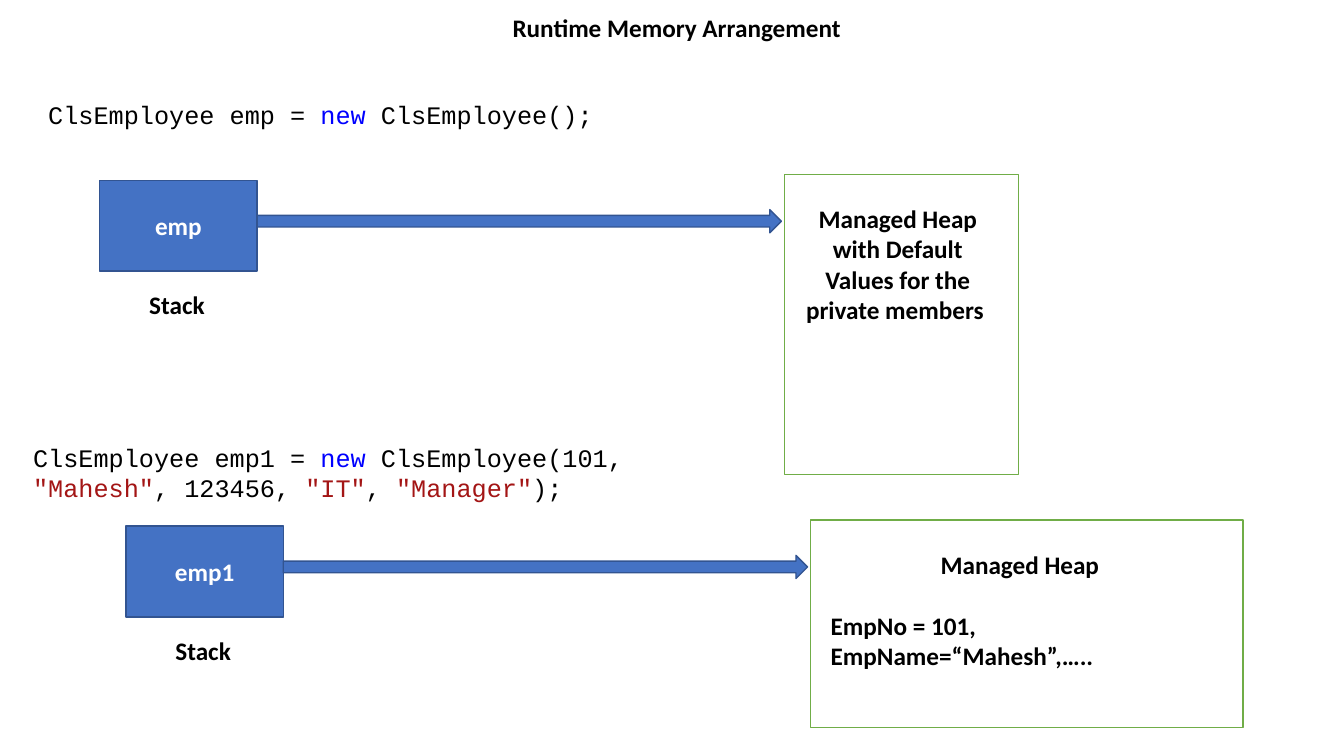
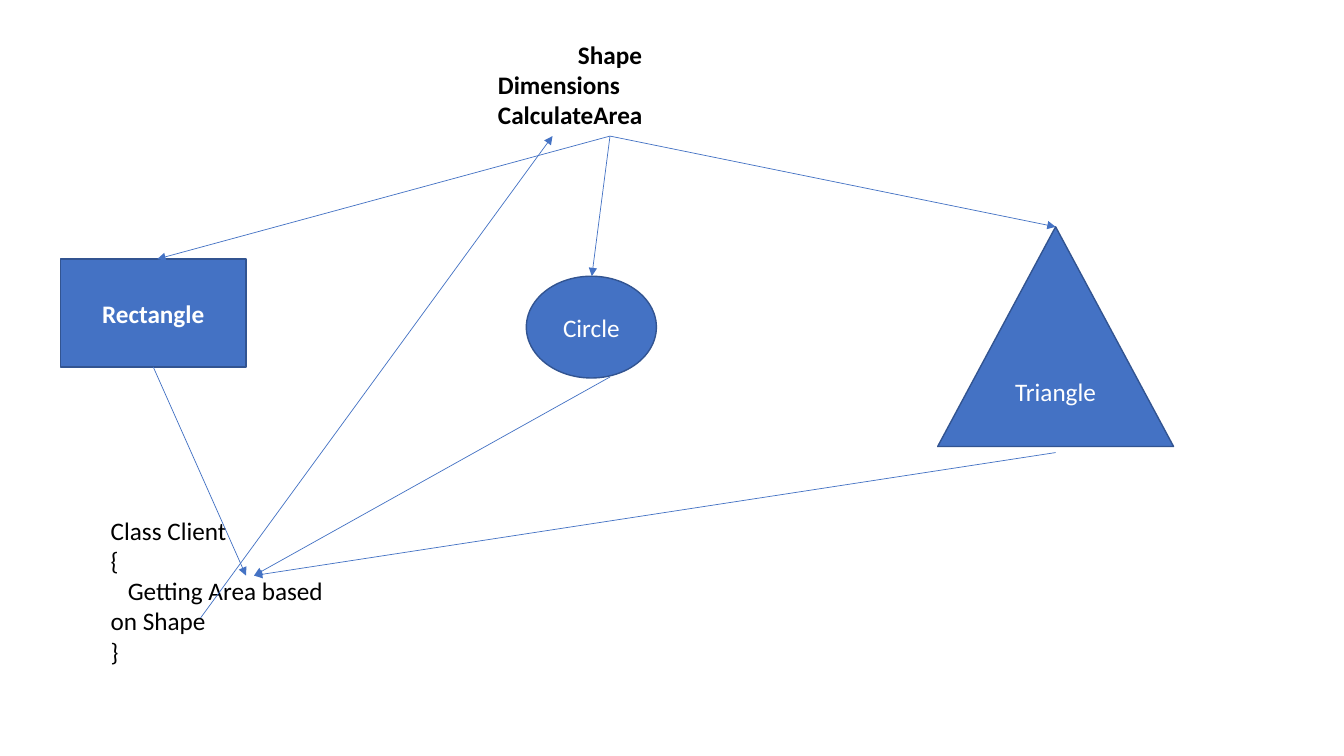
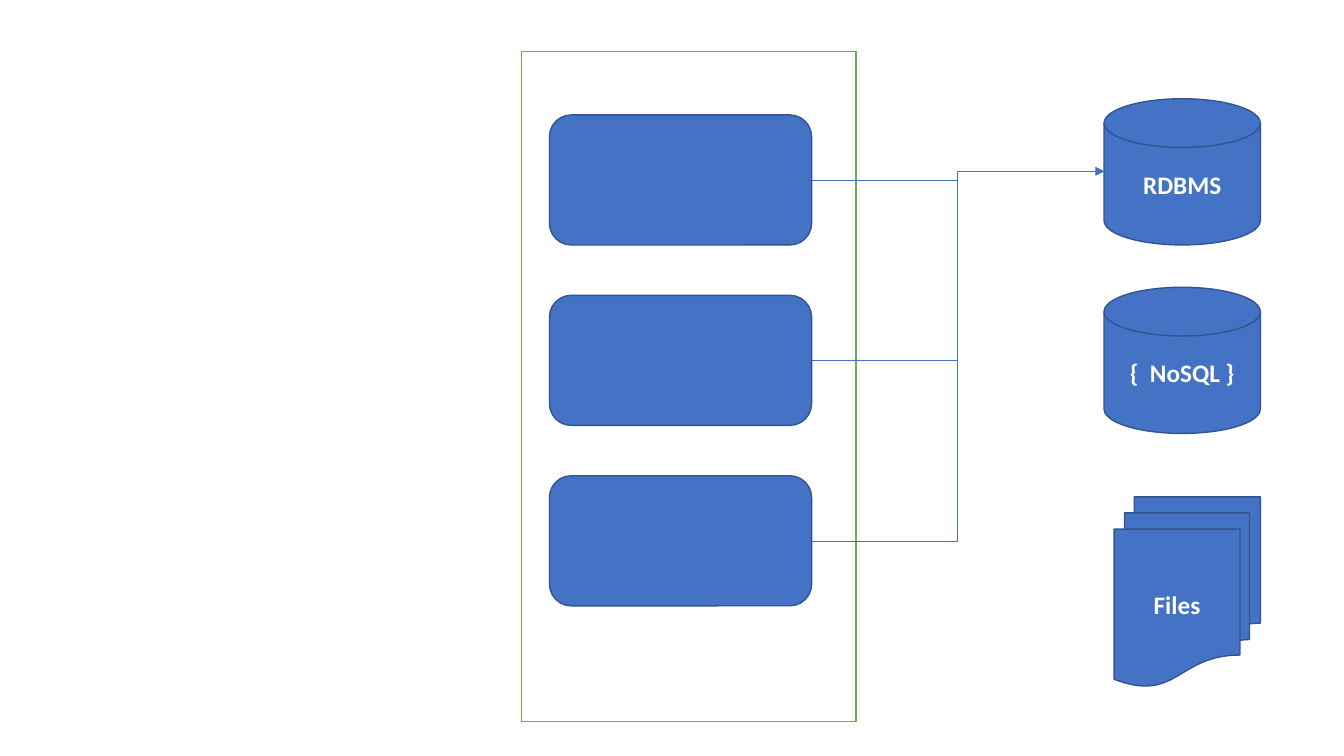
"""Build three slides on object memory, shape classes and data stores."""
from lxml.etree import SubElement
from pptx import Presentation
from pptx.dml.color import RGBColor
from pptx.enum.shapes import MSO_CONNECTOR as LINK, MSO_SHAPE as FORM
from pptx.enum.text import MSO_ANCHOR, PP_ALIGN
from pptx.oxml.ns import qn
from pptx.util import Inches, Pt

BLUE, EDGE, GREEN = "4472C4", "325491", "70AD47"
WHITE, BLACK, KEY, QUOTE = "FFFFFF", "000000", "0000FF", "A31515"
MID = PP_ALIGN.CENTER
CODE = "Courier New"


def tint(value):
    return RGBColor.from_string(value)


def write(frame, text, color=BLACK, bold=False, align=PP_ALIGN.LEFT,
          font="Calibri", before=0, indent=0):
    para = frame.add_paragraph() if frame.text else frame.paragraphs[0]
    para.alignment = align
    para.space_before = Pt(before)
    if indent:
        para._p.get_or_add_pPr().set("indent", str(Inches(indent)))
    parts = [(text, color)] if isinstance(text, str) else text
    for words, shade in parts:
        run = para.add_run()
        run.text = words
        run.font.name, run.font.size, run.font.bold = font, Pt(18), bold
        run.font.color.rgb = tint(shade)


class Deck:
    def __init__(self):
        self.file = Presentation()
        self.file.slide_width = Inches(13.33)
        self.file.slide_height = Inches(7.5)

    def page(self):
        self.slide = self.file.slides.add_slide(self.file.slide_layouts[6])

    def note(self, x, y, w, h, text=None, **style):
        box = self.slide.shapes.add_textbox(*map(Inches, (x, y, w, h)))
        frame = box.text_frame
        frame.word_wrap = True
        if text:
            write(frame, text, **style)
        return frame

    def form(self, kind, x, y, w, h, text=None, fill=BLUE, edge=EDGE, bold=True):
        item = self.slide.shapes.add_shape(kind, *map(Inches, (x, y, w, h)))
        item.shadow.inherit = False
        item.fill.solid()
        item.fill.fore_color.rgb = tint(fill)
        item.line.color.rgb = tint(edge)
        item.line.width = Pt(1)
        item.text_frame.vertical_anchor = MSO_ANCHOR.MIDDLE
        if text:
            write(item.text_frame, text, color=WHITE, bold=bold, align=MID)

    def frame(self, x, y, w, h):
        self.form(FORM.RECTANGLE, x, y, w, h, fill=WHITE, edge=GREEN)

    def arrow(self, start, end, kind=LINK.STRAIGHT):
        link = self.slide.shapes.add_connector(kind, *map(Inches, start + end))
        link.line.color.rgb = tint(BLUE)
        link.line.width = Pt(0.5)
        SubElement(link.line._get_or_add_ln(), qn("a:tailEnd"), type="triangle")
        SubElement(link._element.spPr, qn("a:effectLst"))

    def store(self, x, y, name, heap_w, heap_h, note_w):
        self.form(FORM.RECTANGLE, x, y, 1.56, 0.9, name)
        self.note(x - 0.14, y + 1.03, 1.81, 0.4, "Stack", bold=True, align=MID)
        self.frame(x + 6.79, y - 0.06, heap_w, heap_h)
        self.form(FORM.RIGHT_ARROW, x + 1.56, y + 0.29, 5.2, 0.23)
        return self.note(x + 6.89, y + 0.18, note_w, 1.31)


def memory(deck):
    deck.page()
    deck.note(3.94, 0.07, 5.6, 0.4, "Runtime Memory Arrangement ",
              bold=True, align=MID)
    deck.note(0.23, 0.94, 6.67, 0.4, [
        (" ClsEmployee emp = ", BLACK), ("new ", KEY),
        ("ClsEmployee();", BLACK)], font=CODE)
    heap = deck.store(0.99, 1.79, "emp", 2.32, 2.98, 2.05)
    write(heap, "Managed Heap with Default Values for the private members ",
          bold=True, align=MID)
    deck.note(0.23, 4.34, 6.67, 0.71, [
        ("ClsEmployee emp1 = ", BLACK), ("new ", KEY),
        ("ClsEmployee(101, ", BLACK), ('"Mahesh"', QUOTE),
        (", 123456, ", BLACK), ('"IT"', QUOTE), (", ", BLACK),
        ('"Manager"', QUOTE), (");", BLACK)], font=CODE)
    heap = deck.store(1.25, 5.22, "emp1", 4.29, 2.06, 3.95)
    write(heap, "Managed Heap", bold=True, align=MID)
    write(heap, "EmpNo = 101, EmpName=“Mahesh”,…..", bold=True, before=22)


def shapes(deck):
    deck.page()
    base = deck.note(4.84, 0.34, 2.42, 1.01, "Shape", bold=True, align=MID)
    for name in ("Dimensions", "CalculateArea"):
        write(base, name, bold=True)
    deck.form(FORM.RECTANGLE, 0.6, 2.57, 1.84, 1.07, "Rectangle")
    deck.form(FORM.OVAL, 5.22, 2.74, 1.29, 1.01, "Circle", bold=False)
    deck.form(FORM.ISOSCELES_TRIANGLE, 9.3, 2.25, 2.34, 2.18, "Triangle",
              bold=False)
    client = deck.note(1, 5.06, 2.47, 1.62, "Class Client")
    write(client, "{")
    write(client, "Getting Area based on Shape", indent=0.17)
    write(client, "}")
    for top in ((1.56, 2.57), (5.87, 2.74), (10.47, 2.25)):
        deck.arrow((6.05, 1.35), top)
    deck.arrow((1.99, 6.13), (5.48, 1.35))
    deck.arrow((1.52, 3.64), (2.44, 5.71))
    for foot in ((6.05, 3.74), (10.47, 4.49)):
        deck.arrow(foot, (2.52, 5.71))


def stores(deck):
    deck.page()
    for y, name in ((0.98, "RDBMS"), (2.85, "{  NoSQL }")):
        deck.form(FORM.FLOWCHART_MAGNETIC_DISK, 10.95, y, 1.55, 1.45, name)
    deck.form(FORM.FLOWCHART_MULTIDOCUMENT, 11.05, 4.93, 1.45, 1.88, "Files")
    deck.frame(5.17, 0.51, 3.32, 6.65)
    for row in range(3):
        y = 1.14 + row * 1.79
        deck.form(FORM.ROUNDED_RECTANGLE, 5.45, y, 2.6, 1.29)
        deck.arrow((8.05, y + 0.65), (10.95, 1.7), LINK.ELBOW)


deck = Deck()
for build in (memory, shapes, stores):
    build(deck)
deck.file.save("out.pptx")
